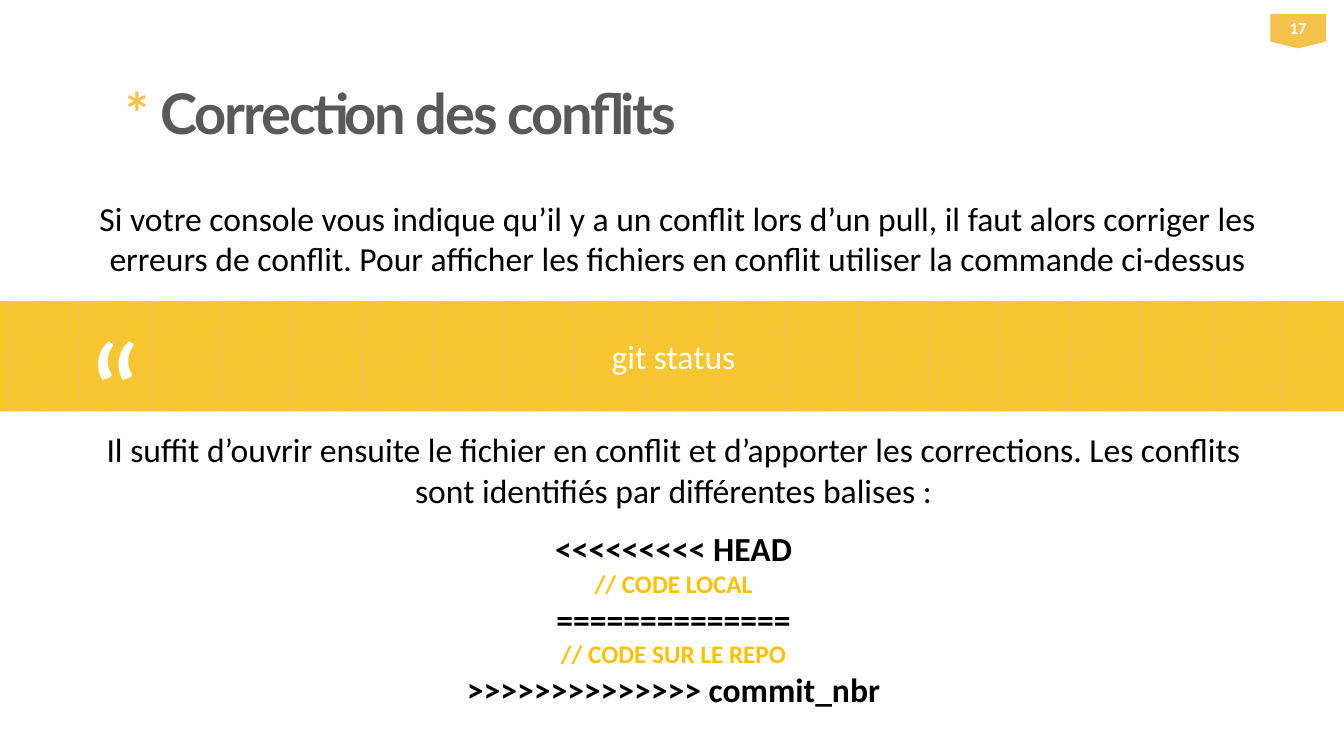
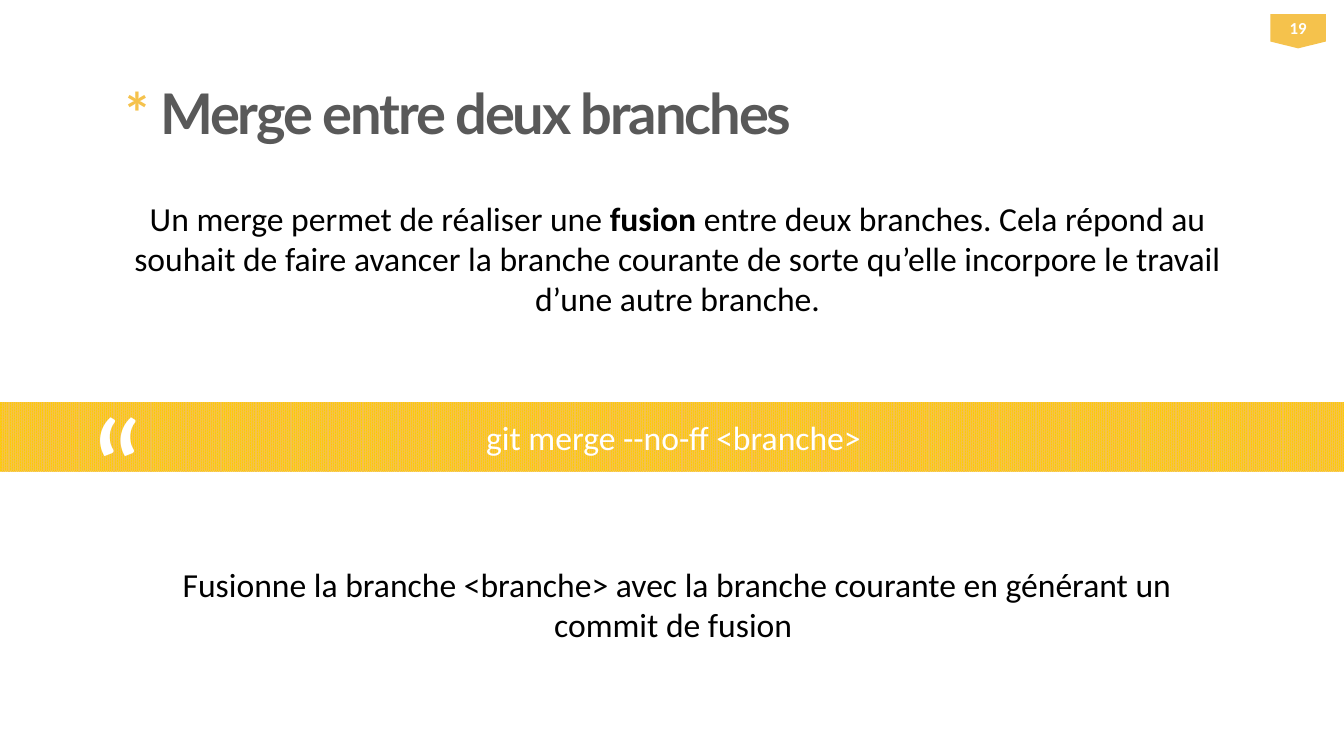
from pptx import Presentation
from pptx import util as u
from pptx.dml.color import RGBColor
from pptx.enum import dml, shapes, text

GOLD, SUN, AMBER = "F5C24C", "FFCC00", "FFC000"
GREY, BLACK, WHITE = "595959", "000000", "FFFFFF"
WIDE, HIGH = 13.33, 7.5
MARK = dict(bold=True)
NOTE = dict(bold=True, size=18, color=AMBER)

PAGES = [
    dict(
        title="Correction des conflits", page="17",
        band=(2.99, 1.09, "git status"), quote=(0.91, 3.08),
        blocks=[
            ((0.83, 1.91, 11.78, 0.91), [[
                ("Si votre console vous indique qu’il y a un conflit lors d’un pull, "
                 "il faut alors corriger les erreurs de conflit. Pour afficher les "
                 "fichiers en conflit utiliser la commande ci-dessus", {})]]),
            ((0.79, 4.21, 11.78, 2.9), [
                [("Il suffit d’ouvrir ensuite le fichier en conflit et d’apporter les "
                  "corrections. Les conflits sont identifiés par différentes balises :",
                  dict(after=12.8))],
                [("<<<<<<<<< HEAD", MARK)],
                [("// CODE LOCAL", NOTE)],
                [("==============", MARK)],
                [("// CODE SUR LE REPO", NOTE)],
                [(">>>>>>>>>>>>>> commit_nbr", MARK)]]),
        ]),
    dict(
        title="Merge entre deux branches", page="19",
        band=(3.99, 0.69, "git merge --no-ff <branche>"), quote=(0.93, 3.83),
        blocks=[
            ((0.88, 1.91, 11.68, 1.31), [[
                ("Un merge permet de réaliser une ", {}),
                ("fusion ", MARK),
                ("entre deux branches. Cela répond au souhait de faire avancer la "
                 "branche courante de sorte qu’elle incorpore le travail d’une autre "
                 "branche.", {})]]),
            ((1.38, 5.54, 10.67, 0.91), [[
                ("Fusionne la branche <branche> avec la branche courante en générant "
                 "un commit de fusion ", {})]]),
        ]),
]


def rgb(code):
    return RGBColor.from_string(code)


def inch(box):
    return [u.Inches(n) for n in box]


def add_run(para, words, size=24, color=BLACK, bold=False, font="Calibri",
            space=None, after=0):
    run = para.add_run()
    run.text = words
    run.font.size, run.font.bold, run.font.name = u.Pt(size), bold, font
    run.font.color.rgb = rgb(color)
    if space is not None:
        run.font._element.set("spc", str(int(space * 100)))
    if after:
        para.space_after = u.Pt(after)


def write(shape, paras, align="CENTER", anchor="TOP"):
    frame = shape.text_frame
    frame.word_wrap = True
    frame.auto_size = text.MSO_AUTO_SIZE.NONE
    frame.vertical_anchor = text.MSO_ANCHOR[anchor]
    for i, runs in enumerate(paras):
        para = frame.paragraphs[0] if i == 0 else frame.add_paragraph()
        para.alignment = text.PP_ALIGN[align]
        for words, look in runs:
            add_run(para, words, **look)


def add_shape(slide, kind, box):
    shape = slide.shapes.add_shape(shapes.MSO_SHAPE[kind], *inch(box))
    shape.shadow.inherit = False
    shape.line.fill.background()
    return shape


def add_title(slide, words):
    title = slide.shapes.title
    title.left, title.top, title.width, title.height = inch((1.14, 0.73, 10.74, 0.66))
    look = dict(size=40, bold=True, font="Lato", space=-1.5)
    write(title, [[("*", dict(look, color=GOLD)),
                   (" " + words, dict(look, color=GREY))]], "LEFT")


def add_page(slide, number):
    tag = add_shape(slide, "FLOWCHART_OFFPAGE_CONNECTOR", (12.6, 0.14, 0.55, 0.34))
    tag.fill.solid()
    tag.fill.fore_color.rgb = rgb(GOLD)
    write(tag, [[(number, dict(size=12, color=WHITE, bold=True))]], anchor="MIDDLE")


def add_band(slide, top, height, code):
    band = add_shape(slide, "RECTANGLE", (0, top, WIDE + 0.03, height))
    band.fill.patterned()
    band.fill.pattern = dml.MSO_PATTERN.PERCENT_90
    band.fill.fore_color.rgb, band.fill.back_color.rgb = rgb(GOLD), rgb(SUN)
    write(band, [[(code, dict(color=WHITE))]], anchor="MIDDLE")


def add_quote(slide, left, top):
    box = slide.shapes.add_textbox(*inch((left, top, 0.5, 0.92)))
    frame = box.text_frame
    frame.margin_left = frame.margin_right = frame.margin_top = frame.margin_bottom = 0
    write(box, [[("“", dict(size=96, color=WHITE, font="Lato", space=-1.5))]], "LEFT")


def main():
    deck = Presentation()
    deck.slide_width, deck.slide_height = inch((WIDE, HIGH))
    for page in PAGES:
        slide = deck.slides.add_slide(deck.slide_layouts[5])
        add_title(slide, page["title"])
        add_page(slide, page["page"])
        add_band(slide, *page["band"])
        add_quote(slide, *page["quote"])
        for box, paras in page["blocks"]:
            write(slide.shapes.add_textbox(*inch(box)), paras)
    deck.save("out.pptx")


if __name__ == "__main__":
    main()
